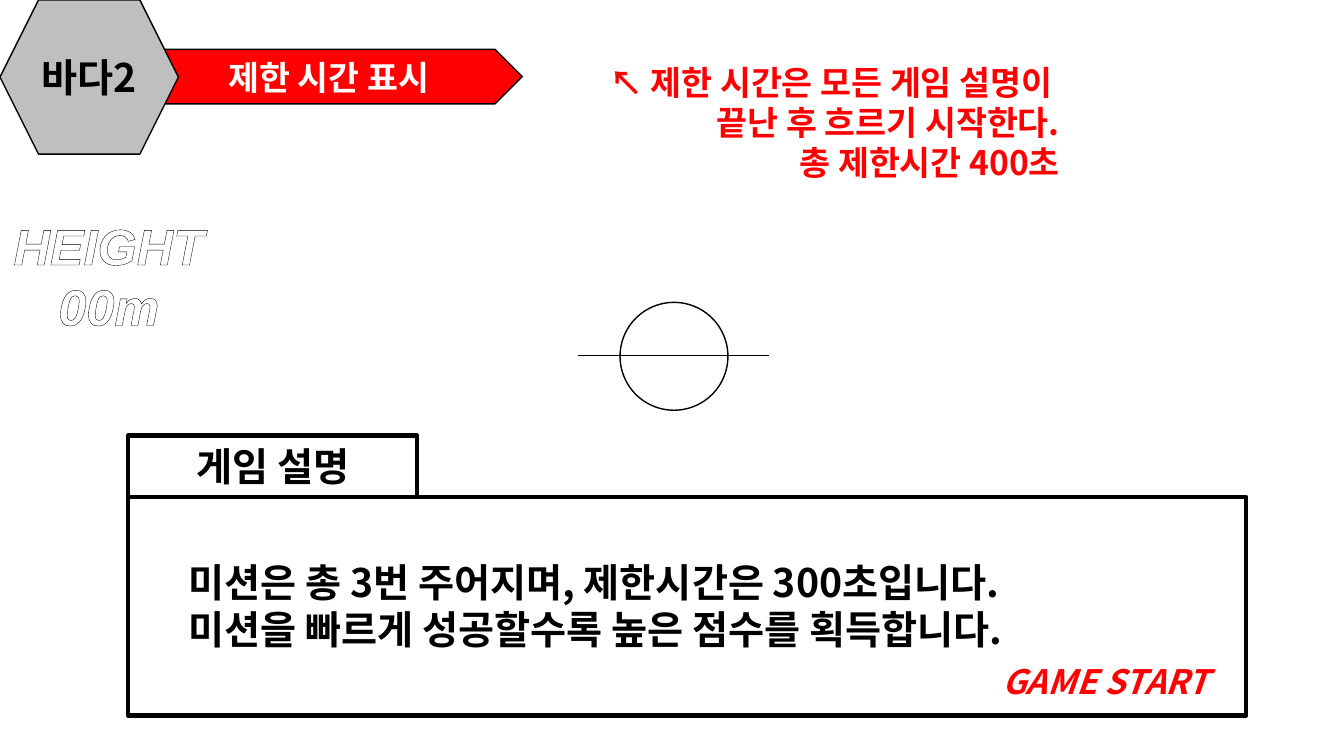
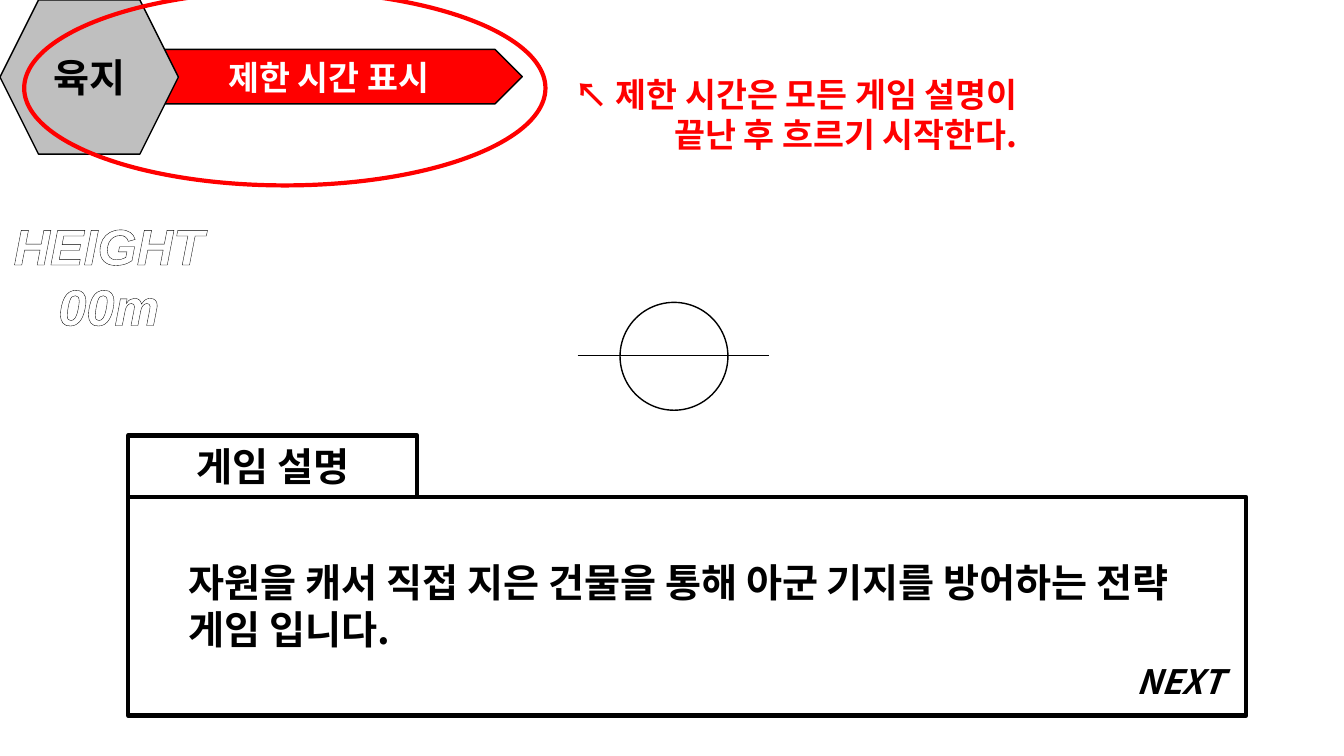
"""Build two game screen slides that share one heads-up display and message box."""
from lxml.etree import SubElement
from pptx import Presentation
from pptx.dml.color import RGBColor
from pptx.enum.shapes import MSO_CONNECTOR, MSO_SHAPE
from pptx.enum.text import MSO_ANCHOR, MSO_AUTO_SIZE, PP_ALIGN
from pptx.oxml import parse_xml
from pptx.oxml.ns import nsdecls, qn
from pptx.util import Inches, Pt

BLACK, WHITE, RED, GRAY = "000000", "FFFFFF", "FF0000", "BFBFBF"
KOREAN = "Noto Sans CJK KR"
OUTLINE = (f'<a:ln {nsdecls("a")} w="9525"><a:solidFill>'
           f'<a:srgbClr val="{BLACK}"/></a:solidFill></a:ln>')
rgb = RGBColor.from_string


def write(sp, lines, size, color=BLACK, align=PP_ALIGN.LEFT, anchor=MSO_ANCHOR.TOP,
          italic=False, font=KOREAN):
    tf = sp.text_frame
    tf.text = "\n".join(lines)
    tf.word_wrap = True
    tf.auto_size = MSO_AUTO_SIZE.NONE
    tf.vertical_anchor = anchor
    for p in tf.paragraphs:
        p.alignment = align
        for r in p.runs:
            r.font.size = Pt(size)
            r.font.bold = True
            r.font.italic = italic
            r.font.color.rgb = rgb(color)
            r.font.name = font
            SubElement(r.font._element, qn("a:ea"), typeface=font)


def style(sp, fill, line, width):
    if fill:
        sp.fill.solid()
        sp.fill.fore_color.rgb = rgb(fill)
    else:
        sp.fill.background()
    sp.line.color.rgb = rgb(line)
    sp.line.width = Pt(width)


SCREENS = [
    {
        "stage": "바다2",
        "message": ["미션은 총 3번 주어지며, 제한시간은 300초입니다.",
                    "미션을 빠르게 성공할수록 높은 점수를 획득합니다."],
        "message_width": 9.59,
        "button": ("GAME START", 9.84, 3.05, RED),
        "circled": False,
        "note": ["↖ 제한 시간은 모든 게임 설명이 ", "끝난 후 흐르기 시작한다.",
                 "총 제한시간 400초"],
        "note_box": (4.94, 0.56, 5.67, 1.31),
    },
    {
        "stage": "육지",
        "message": ["자원을 캐서 직접 지은 건물을 통해 아군 기지를 방어하는 전략 게임 입니다."],
        "message_width": 10.43,
        "button": ("NEXT", 11.17, 1.53, BLACK),
        "circled": True,
        "note": ["↖ 제한 시간은 모든 게임 설명이 끝난 후 흐르기 시작한다."],
        "note_box": (5.08, 0.68, 5.11, 0.91),
    },
]
HUD = [
    (MSO_SHAPE.CHEVRON, (1.34, 0.49, 3.84, 0.54), RED, BLACK, 1),
    (MSO_SHAPE.HEXAGON, (0, 0, 1.77, 1.53), GRAY, BLACK, 1),
    (MSO_SHAPE.OVAL, (6.15, 3, 1.07, 1.07), WHITE, BLACK, 1),
    (MSO_SHAPE.RECTANGLE, (1.27, 4.93, 11.09, 2.17), WHITE, BLACK, 3),
]
TIMER_RING = (MSO_SHAPE.OVAL, (0.24, -0.09, 5.17, 1.93), None, RED, 3)
CENTERED = {"align": PP_ALIGN.CENTER, "anchor": MSO_ANCHOR.MIDDLE}

prs = Presentation()
prs.slide_width, prs.slide_height = Inches(13.33), Inches(7.5)

for screen in SCREENS:
    s = prs.slides.add_slide(prs.slide_layouts[5])

    title = s.shapes.title
    title.left, title.top = Inches(1.27), Inches(4.32)
    title.width, title.height = Inches(2.87), Inches(0.61)
    style(title, WHITE, BLACK, 3)
    write(title, ["게임 설명"], 28, **CENTERED)

    shapes = []
    for kind, box, fill, line, width in HUD + [TIMER_RING] * screen["circled"]:
        sp = s.shapes.add_shape(kind, *map(Inches, box))
        sp.shadow.inherit = False
        style(sp, fill, line, width)
        shapes.append(sp)
    timer, stage = shapes[:2]
    write(timer, ["제한 시간 표시"], 24, WHITE, **CENTERED)
    write(stage, [screen["stage"]], 28, **CENTERED)

    horizon = s.shapes.add_connector(MSO_CONNECTOR.STRAIGHT, Inches(5.73), Inches(3.53),
                                     Inches(7.63), Inches(3.53))
    horizon.line.color.rgb = rgb(BLACK)
    horizon.line.width = Pt(0.5)
    SubElement(horizon._element.spPr, qn("a:effectLst"))

    height = s.shapes.add_textbox(0, Inches(2.08), Inches(2.16), Inches(1.31))
    write(height, ["HEIGHT", "00m"], 36, WHITE, PP_ALIGN.CENTER, italic=True, font="Arial")
    for p in height.text_frame.paragraphs:
        p.runs[0].font._element.insert(0, parse_xml(OUTLINE))

    message = s.shapes.add_textbox(Inches(1.77), Inches(5.49),
                                   Inches(screen["message_width"]), Inches(1.04))
    write(message, screen["message"], 28)

    label, left, width, color = screen["button"]
    button = s.shapes.add_textbox(Inches(left), Inches(6.51), Inches(width), Inches(0.5))
    write(button, [label], 24, color, italic=True)

    note = s.shapes.add_textbox(*map(Inches, screen["note_box"]))
    write(note, screen["note"], 24, RED, PP_ALIGN.RIGHT)

prs.save("out.pptx")
